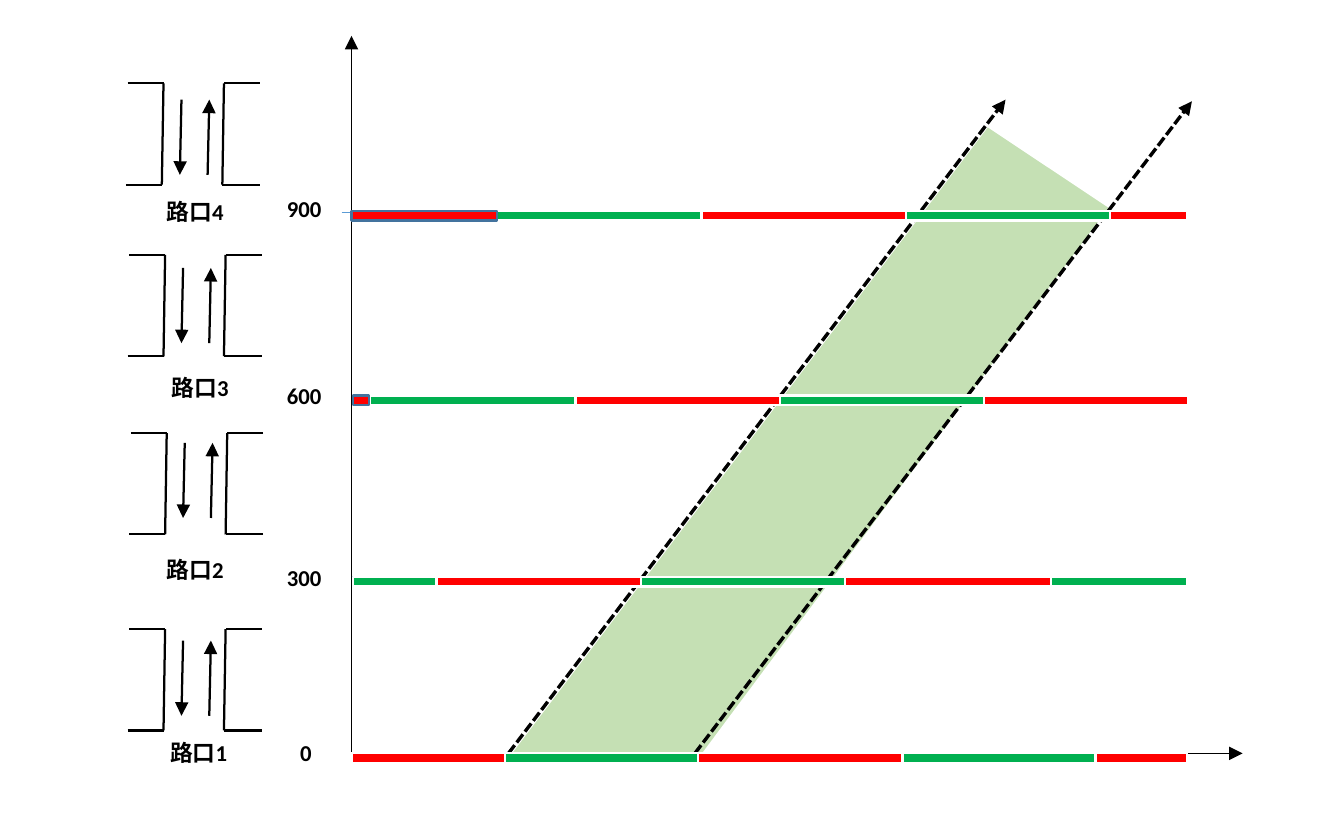
import pptx
import pptx.dml.color
import pptx.enum.dml
import pptx.enum.shapes
import pptx.enum.text
import pptx.oxml.ns
import pptx.util
import lxml.etree
from dataclasses import dataclass
from pptx.util import Inches


@dataclass(frozen=True)
class Theme:
    """Colours, font and sizes of the slide."""
    black: str = "000000"
    white: str = "FFFFFF"
    red: str = "FF0000"
    green: str = "00B050"
    band: str = "C5E0B4"
    guide: str = "5B9BD5"
    bar_edge: str = "43739E"
    font: str = "Calibri"
    text_size: float = 10
    thin: float = 0.5
    normal: float = 1
    thick: float = 1.5


THEME = Theme()
BAR_HEIGHT = 0.06

# Distance label, label left and top, bar top, first colour, first outline, phase edges
SIGNAL_ROWS = [
    ("0", 1.61, 4.47, 4.61, THEME.red, THEME.white,
     [2.15, 3.09, 4.27, 5.52, 6.7, 7.26]),
    ("300", 1.6, 3.4, 3.53, THEME.green, THEME.white,
     [2.16, 2.67, 3.92, 5.17, 6.43, 7.26]),
    ("600", 1.6, 2.29, 2.42, THEME.red, THEME.bar_edge,
     [2.16, 2.26, 3.52, 4.77, 6.02, 7.27]),
    ("900", 1.6, 1.14, 1.29, THEME.red, THEME.bar_edge,
     [2.15, 3.04, 4.29, 5.54, 6.79, 7.26]),
]

# Name, left, top, top of the lane arrows, label left and top
JUNCTIONS = [
    ("路口1", 0.79, 3.85, 3.92, 0.88, 4.47),
    ("路口2", 0.8, 2.65, 2.71, 0.86, 3.35),
    ("路口3", 0.79, 1.56, 1.64, 0.89, 2.24),
    ("路口4", 0.78, 0.51, 0.61, 0.86, 1.16),
]

# Kerb lines relative to the junction's left and top
KERBS = [
    (0, 0, 0.22, 0), (0.22, 0, 0.21, 0.62), (-0.01, 0.62, 0.21, 0.62),
    (0.81, 0, 0.59, 0), (0.59, 0, 0.58, 0.62), (0.81, 0.62, 0.58, 0.62),
]


def rgb(colour):
    """Turn a hex string into a colour."""
    return pptx.dml.color.RGBColor.from_string(colour)


def add_element(parent, tag, **attributes):
    """Append an XML element with the given attributes."""
    lxml.etree.SubElement(parent, pptx.oxml.ns.qn(tag), attributes)


def style_shape(shape, fill, outline):
    """Give a shape a flat fill and a thin outline."""
    shape.shadow.inherit = False
    shape.fill.solid()
    shape.fill.fore_color.rgb = rgb(fill)
    shape.line.color.rgb = rgb(outline)
    shape.line.width = pptx.util.Pt(THEME.normal)


def add_line(page, start, end, colour=THEME.black, width=THEME.normal,
             arrow=False, dashed=False):
    """Draw a straight line, with an arrowhead at its end if asked."""
    line = page.shapes.add_connector(
        pptx.enum.shapes.MSO_CONNECTOR.STRAIGHT,
        *[Inches(value) for value in (*start, *end)])
    line.line.color.rgb = rgb(colour)
    line.line.width = pptx.util.Pt(width)
    if dashed:
        line.line.dash_style = pptx.enum.dml.MSO_LINE.SQUARE_DOT
    properties = line._element.find(pptx.oxml.ns.qn("p:spPr"))
    if arrow:
        outline = properties.find(pptx.oxml.ns.qn("a:ln"))
        add_element(outline, "a:tailEnd", type="triangle")
    add_element(properties, "a:effectLst")


def add_text(page, text, left, top, width, height=0.27, size=THEME.text_size,
             bold=True, colour=THEME.black):
    """Add a centred line of text."""
    box = page.shapes.add_textbox(*[Inches(v) for v in (left, top, width, height)])
    box.text_frame.word_wrap = True
    para = box.text_frame.paragraphs[0]
    para.alignment = pptx.enum.text.PP_ALIGN.CENTER
    span = para.add_run()
    span.text = text
    span.font.name = THEME.font
    span.font.size = pptx.util.Pt(size)
    span.font.bold = bold
    span.font.color.rgb = rgb(colour)


def add_green_band(page):
    """Draw the green wave area."""
    corners = [(3.1, 4.64), (6.04, 0.77), (6.79, 1.27), (4.28, 4.64)]
    points = [(Inches(x), Inches(y)) for x, y in corners]
    builder = page.shapes.build_freeform(*points[0])
    builder.add_line_segments(points[1:], close=True)
    style_shape(builder.convert_to_shape(), THEME.band, THEME.white)


def add_axes(page):
    """Draw the axes, the dashed band limits and the guide lines."""
    for end in [(2.15, 0.22), (7.6, 4.61)]:
        add_line(page, (2.15, 4.61), end, width=THEME.thin, arrow=True)
    for start, end in [((3.11, 4.61), (6.15, 0.61)), ((4.25, 4.61), (7.29, 0.62))]:
        add_line(page, start, end, width=THEME.thick, arrow=True, dashed=True)
    for left, top in [(2.15, 3.53), (2.15, 2.42), (2.09, 1.3)]:
        add_line(page, (left, top), (left + 4.86, top), THEME.guide, THEME.thin)


def add_signal_row(page, label, label_left, label_top, top, first, edge, edges):
    """Draw one signal's alternating phases and its distance label."""
    other = THEME.green if first == THEME.red else THEME.red
    phases = list(enumerate(zip(edges, edges[1:])))
    for index, (left, right) in reversed(phases):
        bar = page.shapes.add_shape(
            pptx.enum.shapes.MSO_SHAPE.RECTANGLE, Inches(left), Inches(top),
            Inches(right - left), Inches(BAR_HEIGHT))
        style_shape(bar, other if index % 2 else first,
                    THEME.white if index else edge)
    add_text(page, label, label_left, label_top, 0.52)


def add_junction(page, name, left, top, arrow_top, label_left, label_top):
    """Draw one road junction with its kerbs, lane arrows and name."""
    for x1, y1, x2, y2 in KERBS:
        add_line(page, (left + x1, top + y1), (left + x2, top + y2))
    arrow_bottom = arrow_top + 0.46
    add_line(page, (left + 0.33, arrow_top), (left + 0.32, arrow_bottom), arrow=True)
    add_line(page, (left + 0.49, arrow_bottom), (left + 0.5, arrow_top), arrow=True)
    add_text(page, name, label_left, label_top, 0.67)


def main():
    """Build the green wave diagram and save it."""
    deck = pptx.Presentation()
    deck.slide_width, deck.slide_height = Inches(8.22), Inches(5.14)
    page = deck.slides.add_slide(deck.slide_layouts[6])
    add_green_band(page)
    add_axes(page)
    for row in SIGNAL_ROWS:
        add_signal_row(page, *row)
    for junction in JUNCTIONS:
        add_junction(page, *junction)
    deck.save("out.pptx")


main()
